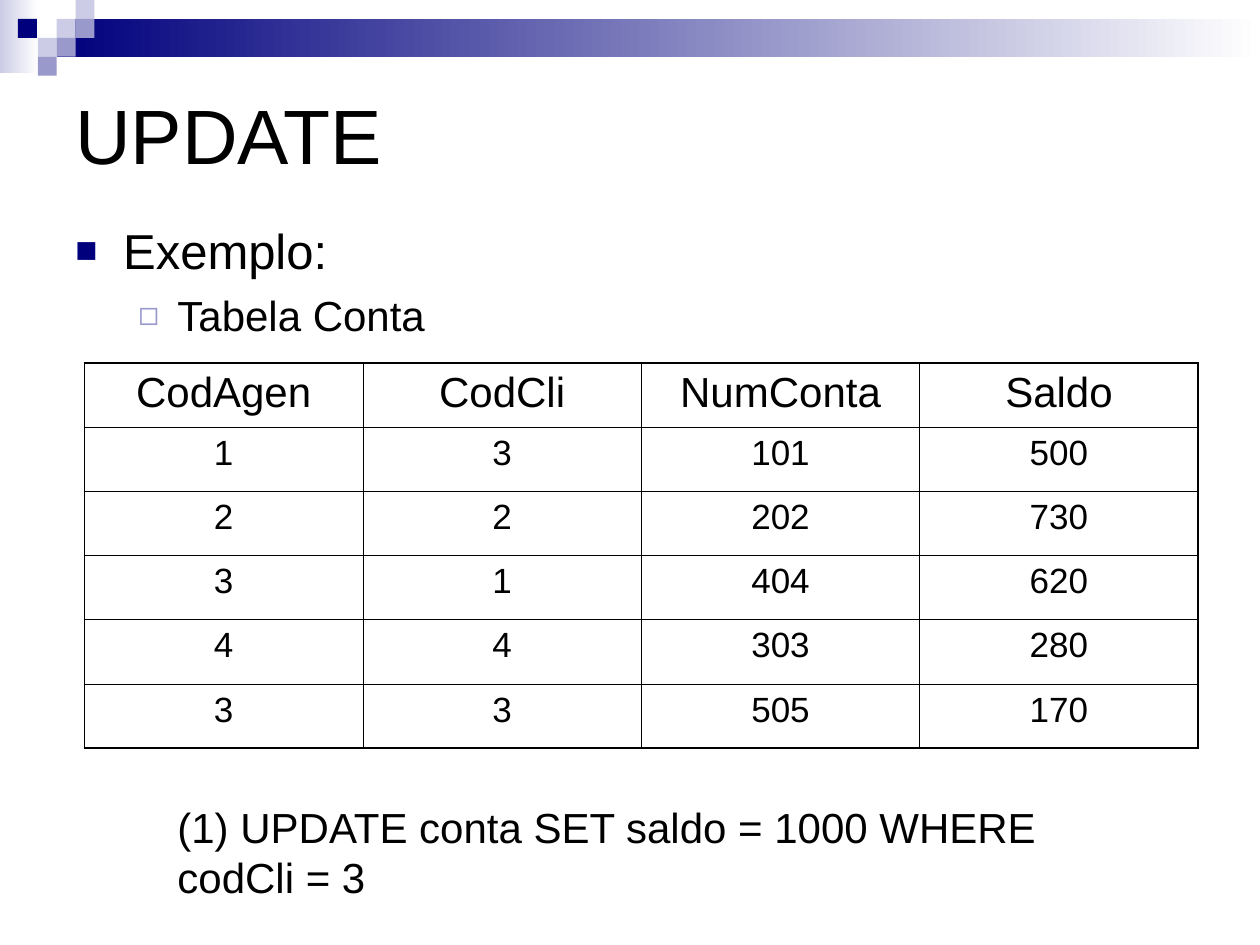
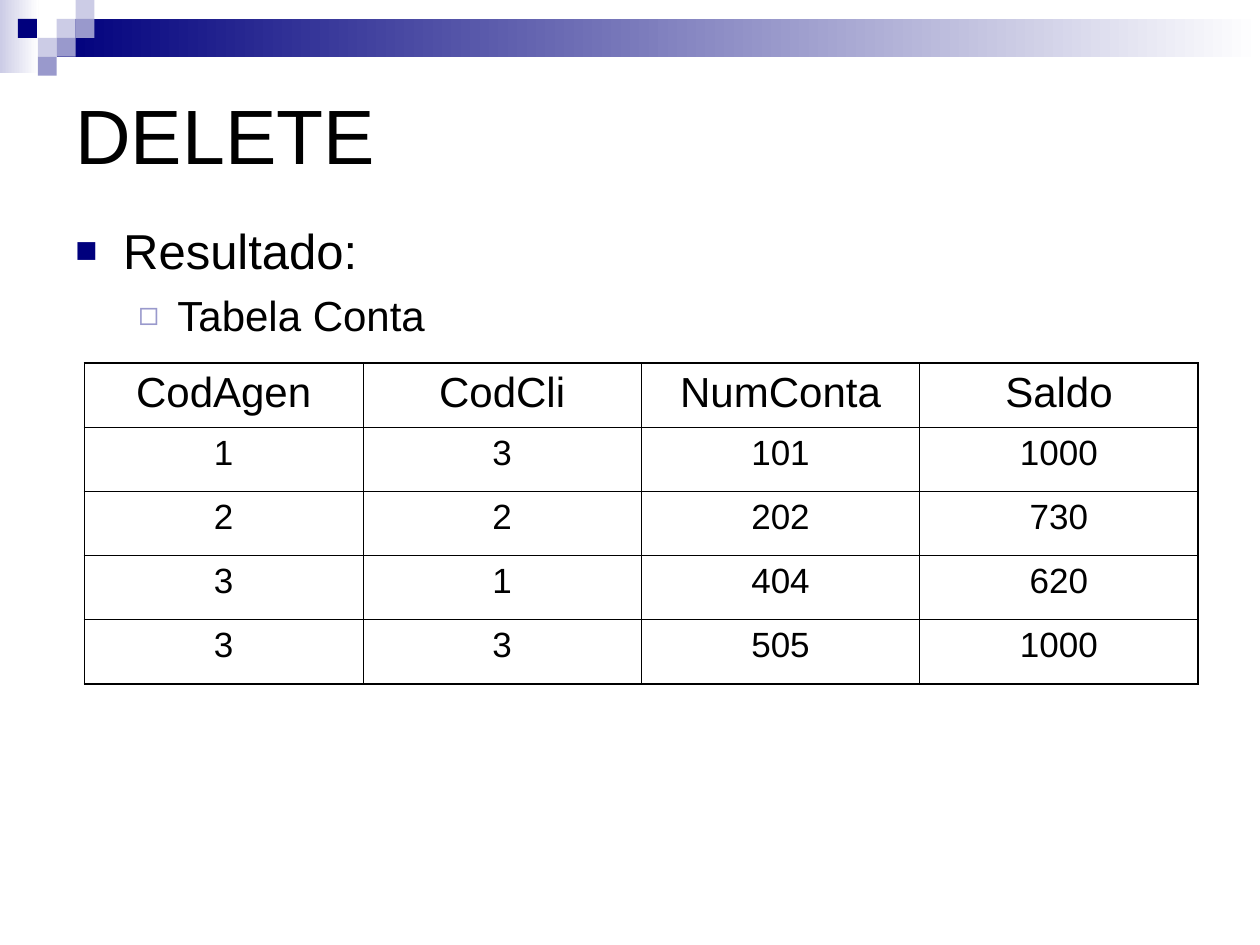
from dataclasses import dataclass
from typing import Any, Optional

from lxml.etree import SubElement
from pptx import Presentation
from pptx.dml.color import RGBColor as RGB
from pptx.enum.shapes import MSO_SHAPE as SHAPE
from pptx.enum.text import MSO_ANCHOR as ANCHOR, PP_ALIGN as ALIGN
from pptx.oxml.ns import qn
from pptx.util import Inches, Pt

COLORS = {"navy": "00007D", "lilac": "9999CC", "pale": "CCCCE6", "white": "FFFFFF", "ink": "000000"}
FONT = "Arial"
TILE = 0.15
COL_W, ROW_H = 2.21, 0.51
TABLE_LEFT, TABLE_TOP = 0.67, 2.88
OUTER, INNER = 1.08, 0.45
HEADER = ("CodAgen", "CodCli", "NumConta", "Saldo")


@dataclass(frozen=True)
class Block:
    col: float
    row: float
    cols: float
    rows: float
    color: str
    fades: bool = False


@dataclass(frozen=True)
class Bullet:
    char: str
    color: str
    percent: int
    margin: float
    hang: float


@dataclass(frozen=True)
class Line:
    text: str
    size: int
    before: int = 0
    bullet: Optional[Bullet] = None


@dataclass(frozen=True)
class Page:
    title: str
    heading: str
    rows: tuple[tuple[int, ...], ...]
    statement: str = ""


BANNER = (
    Block(0, 0, 2.05, 3.85, "pale", True),
    Block(3, 1, 63.67, 2, "navy", True),
    Block(3, 1, 1, 1, "pale"),
    Block(4, 0, 1, 1, "pale"),
    Block(4, 1, 1, 1, "lilac"),
    Block(2, 2, 1, 1, "pale"),
    Block(0.95, 1, 1, 1, "navy"),
    Block(3, 2, 1, 1, "lilac"),
    Block(2, 3, 1, 1, "lilac"),
)
SOLID = Bullet("■", "navy", 75, 0.38, 0.38)
HOLLOW = Bullet("◻", "lilac", 80, 0.81, 0.31)

PAGES = (
    Page(
        "UPDATE",
        "Exemplo:",
        ((1, 3, 101, 500), (2, 2, 202, 730), (3, 1, 404, 620), (4, 4, 303, 280), (3, 3, 505, 170)),
        "(1) UPDATE conta SET saldo = 1000 WHERE codCli = 3",
    ),
    Page(
        "DELETE",
        "Resultado:",
        ((1, 3, 101, 1000), (2, 2, 202, 730), (3, 1, 404, 620), (3, 3, 505, 1000)),
    ),
)


def rgb(name: str) -> RGB:
    return RGB.from_string(COLORS[name])


def add_block(slide: Any, block: Block) -> None:
    box = (Inches(n * TILE) for n in (block.col, block.row, block.cols, block.rows))
    sp = slide.shapes.add_shape(SHAPE.RECTANGLE, *box)
    sp.shadow.inherit = False
    sp.line.fill.background()
    if block.fades:
        sp.fill.gradient()
        sp.fill.gradient_angle = 0
        for stop, color in zip(sp.fill.gradient_stops, (block.color, "white")):
            stop.color.rgb = rgb(color)
    else:
        sp.fill.solid()
        sp.fill.fore_color.rgb = rgb(block.color)


def add_bullet(p: Any, bullet: Bullet) -> None:
    pPr = p._p.get_or_add_pPr()
    pPr.set("marL", str(Inches(bullet.margin)))
    pPr.set("indent", str(-Inches(bullet.hang)))
    color = SubElement(pPr, qn("a:buClr"))
    SubElement(color, qn("a:srgbClr"), val=COLORS[bullet.color])
    SubElement(pPr, qn("a:buSzPct"), val=str(bullet.percent * 1000))
    SubElement(pPr, qn("a:buFont"), typeface=FONT)
    SubElement(pPr, qn("a:buChar"), char=bullet.char)


def write(p: Any, line: Line) -> None:
    if line.before:
        p.space_before = Pt(line.before)
    if line.bullet:
        add_bullet(p, line.bullet)
    r = p.add_run()
    r.text = line.text
    for key, value in {"name": FONT, "size": Pt(line.size)}.items():
        setattr(r.font, key, value)
    r.font.color.rgb = rgb("ink")


def add_text(slide: Any, box: tuple[float, ...], lines: tuple[Line, ...], anchor: Any = ANCHOR.TOP) -> None:
    tf = slide.shapes.add_textbox(*map(Inches, box)).text_frame
    for key, value in {"word_wrap": True, "vertical_anchor": anchor}.items():
        setattr(tf, key, value)
    for i, line in enumerate(lines):
        write(tf.add_paragraph() if i else tf.paragraphs[0], line)


def add_border(cell: Any, side: str, width: float) -> None:
    ln = SubElement(cell._tc.get_or_add_tcPr(), qn(f"a:ln{side}"), w=str(Pt(width)))
    fill = SubElement(ln, qn("a:solidFill"))
    SubElement(fill, qn("a:srgbClr"), val=COLORS["ink"])


def add_account_table(slide: Any, rows: tuple[tuple[int, ...], ...]) -> None:
    data = (HEADER, *rows)
    last_row, last_col = len(data) - 1, len(HEADER) - 1
    box = (TABLE_LEFT, TABLE_TOP, COL_W * len(HEADER), ROW_H * len(data))
    table = slide.shapes.add_table(len(data), len(HEADER), *map(Inches, box)).table
    table.first_row = table.horz_banding = False
    for i, values in enumerate(data):
        for j, value in enumerate(values):
            cell = table.cell(i, j)
            edges = {"L": j == 0, "R": j == last_col, "T": i == 0, "B": i == last_row}
            for side, is_outer in edges.items():
                add_border(cell, side, OUTER if is_outer else INNER)
            cell.fill.background()
            p = cell.text_frame.paragraphs[0]
            p.alignment = ALIGN.CENTER
            write(p, Line(str(value), 20 if i else 24))


def add_page(prs: Any, page: Page) -> None:
    slide = prs.slides.add_slide(prs.slide_layouts[6])
    for block in BANNER:
        add_block(slide, block)
    add_text(slide, (0.5, 0.5, 9, 1.12), (Line(page.title, 44),), ANCHOR.MIDDLE)
    outline = (Line(page.heading, 28, bullet=SOLID), Line("Tabela Conta", 24, 6, HOLLOW))
    add_text(slide, (0.5, 1.7, 7.97, 1.1), outline)
    add_account_table(slide, page.rows)
    if page.statement:
        add_text(slide, (1.31, 6.31, 7.16, 0.9), (Line(page.statement, 24),))


def main() -> None:
    prs = Presentation()
    prs.slide_width, prs.slide_height = Inches(10), Inches(7.5)
    for page in PAGES:
        add_page(prs, page)
    prs.save("out.pptx")


if __name__ == "__main__":
    main()
